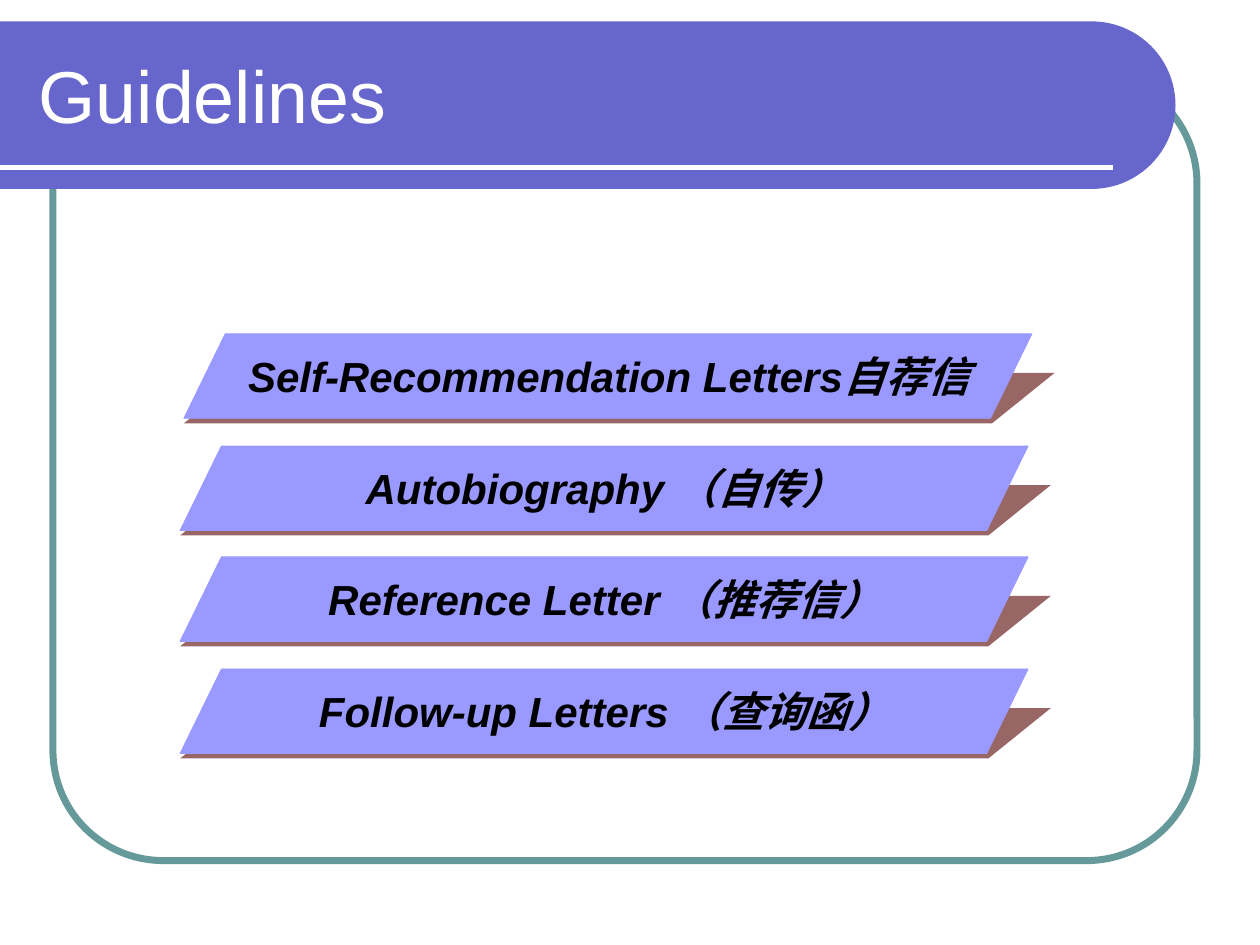
import math
from dataclasses import dataclass

from lxml import etree
from pptx import Presentation
from pptx import util as u
from pptx.dml.color import RGBColor
from pptx.enum import shapes, text
from pptx.oxml.ns import qn

EMU_PER_PX = 9144  # 100 px to the inch


@dataclass(frozen=True)
class Theme:
    font: str = "Arial"
    title_size: int = 42
    bar_size: int = 24
    white: str = "FFFFFF"
    black: str = "000000"
    banner: str = "6666CC"
    frame: str = "669999"
    bar: str = "9999FF"
    bar_shadow: str = "996666"


@dataclass(frozen=True)
class Box:
    left: int
    top: int
    width: int
    height: int

    def emu(self) -> list[int]:
        return [px(n) for n in (self.left, self.top, self.width, self.height)]


@dataclass(frozen=True)
class Bar:
    label: str
    left: int
    top: int


THEME = Theme()
LABELS = [
    "Self-Recommendation Letters自荐信",
    "Autobiography （自传）",
    "Reference Letter （推荐信）",
    "Follow-up Letters （查询函）",
]
BARS_TOP, BARS_SPAN = 265, 266
BARS = [
    Bar(label, 146 if i == 0 else 143, BARS_TOP + round(i * BARS_SPAN / (len(LABELS) - 1)))
    for i, label in enumerate(LABELS)
]


def px(length: float) -> int:
    return round(length * EMU_PER_PX)


def rgb(color: str) -> RGBColor:
    return RGBColor.from_string(color)


def paint(shape, fill: str | None, line: str | None = None, line_width: float = 0) -> None:
    shape.shadow.inherit = False
    if fill:
        shape.fill.solid()
        shape.fill.fore_color.rgb = rgb(fill)
    else:
        shape.fill.background()
    if line:
        shape.line.color.rgb = rgb(line)
        shape.line.width = u.Pt(line_width)
    else:
        shape.line.fill.background()


def add_preset(parent, kind, box: Box, adjustment: float):
    shape = parent.add_shape(kind, *box.emu())
    shape.adjustments[0] = adjustment
    return shape


def add_text(parent, box: Box, content: str, size: int, color: str):
    text_box = parent.add_textbox(*box.emu())
    frame = text_box.text_frame
    frame.text = content
    frame.word_wrap = True
    frame.vertical_anchor = text.MSO_ANCHOR.MIDDLE
    font = frame.paragraphs[0].runs[0].font
    font.name, font.size, font.color.rgb = THEME.font, u.Pt(size), rgb(color)
    return text_box


def add_banner(parent, box: Box, steps: int = 48) -> None:
    """Draw a band whose right end is a half circle."""
    radius = box.height / 2
    center_x, center_y = box.left + box.width - radius, box.top + radius
    angles = [math.pi * (i / steps - 0.5) for i in range(steps + 1)]
    arc = [
        (px(center_x + radius * math.cos(a)), px(center_y + radius * math.sin(a)))
        for a in angles
    ]
    builder = parent.build_freeform(px(box.left), px(box.top))
    builder.add_line_segments(arc + [(px(box.left), px(box.top + box.height))], close=True)
    paint(builder.convert_to_shape(), THEME.banner)


def add_rule(parent, left: int, right: int, y: int) -> None:
    rule = parent.add_connector(
        shapes.MSO_CONNECTOR.STRAIGHT, px(left), px(y), px(right), px(y)
    )
    rule.line.color.rgb = rgb(THEME.white)
    rule.line.width = u.Pt(3)
    etree.SubElement(rule._element.spPr, qn("a:effectLst"))


def add_bar(parent, bar: Bar) -> None:
    group = parent.add_group_shape().shapes
    kind = shapes.MSO_SHAPE.PARALLELOGRAM
    shadow = add_preset(group, kind, Box(bar.left, bar.top + 31, 691, 40), 1.24)
    paint(shadow, THEME.bar_shadow)
    face = add_preset(group, kind, Box(bar.left, bar.top, 673, 67), 0.49)
    paint(face, THEME.bar, THEME.bar, 0.5)

    label_box = Box(bar.left + 33, bar.top + 13, 608, 40)
    frame = add_text(group, label_box, bar.label, THEME.bar_size, THEME.black).text_frame
    frame.margin_left = frame.margin_right = frame.margin_top = frame.margin_bottom = 0
    paragraph = frame.paragraphs[0]
    paragraph.alignment = text.PP_ALIGN.CENTER
    font = paragraph.runs[0].font
    font.bold = font.italic = True


def main() -> None:
    presentation = Presentation()
    presentation.slide_width, presentation.slide_height = px(1000), px(750)
    slide = presentation.slides.add_slide(presentation.slide_layouts[6])

    frame = add_preset(
        slide.shapes, shapes.MSO_SHAPE.ROUNDED_RECTANGLE, Box(42, 58, 908, 625), 0.14
    )
    paint(frame, None, THEME.frame, 4)
    add_banner(slide.shapes, Box(0, 17, 933, 133))
    add_rule(slide.shapes, 0, 883, 133)
    add_text(slide.shapes, Box(21, 25, 877, 100), "Guidelines", THEME.title_size, THEME.white)
    for bar in BARS:
        add_bar(slide.shapes, bar)

    presentation.save("out.pptx")


if __name__ == "__main__":
    main()
